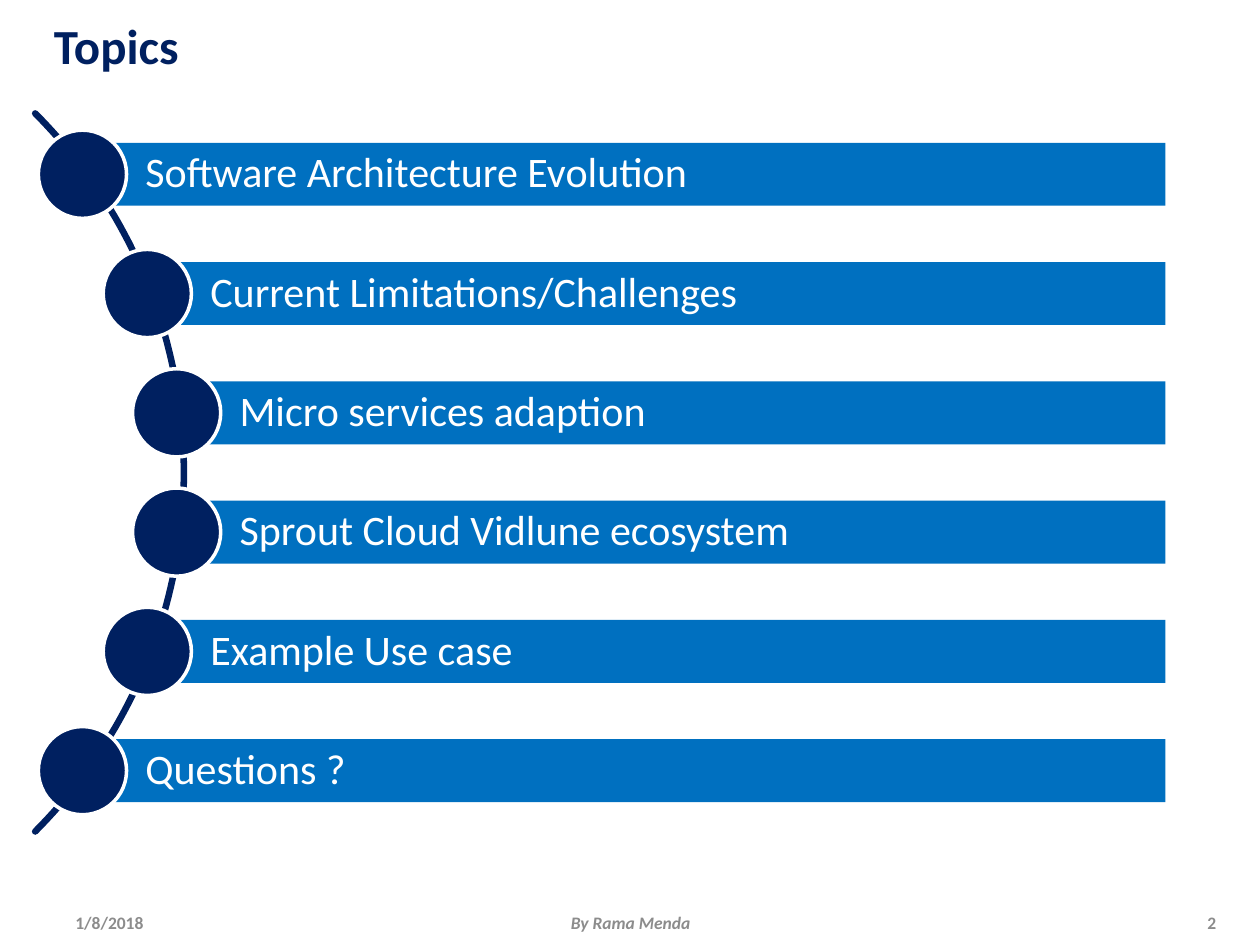
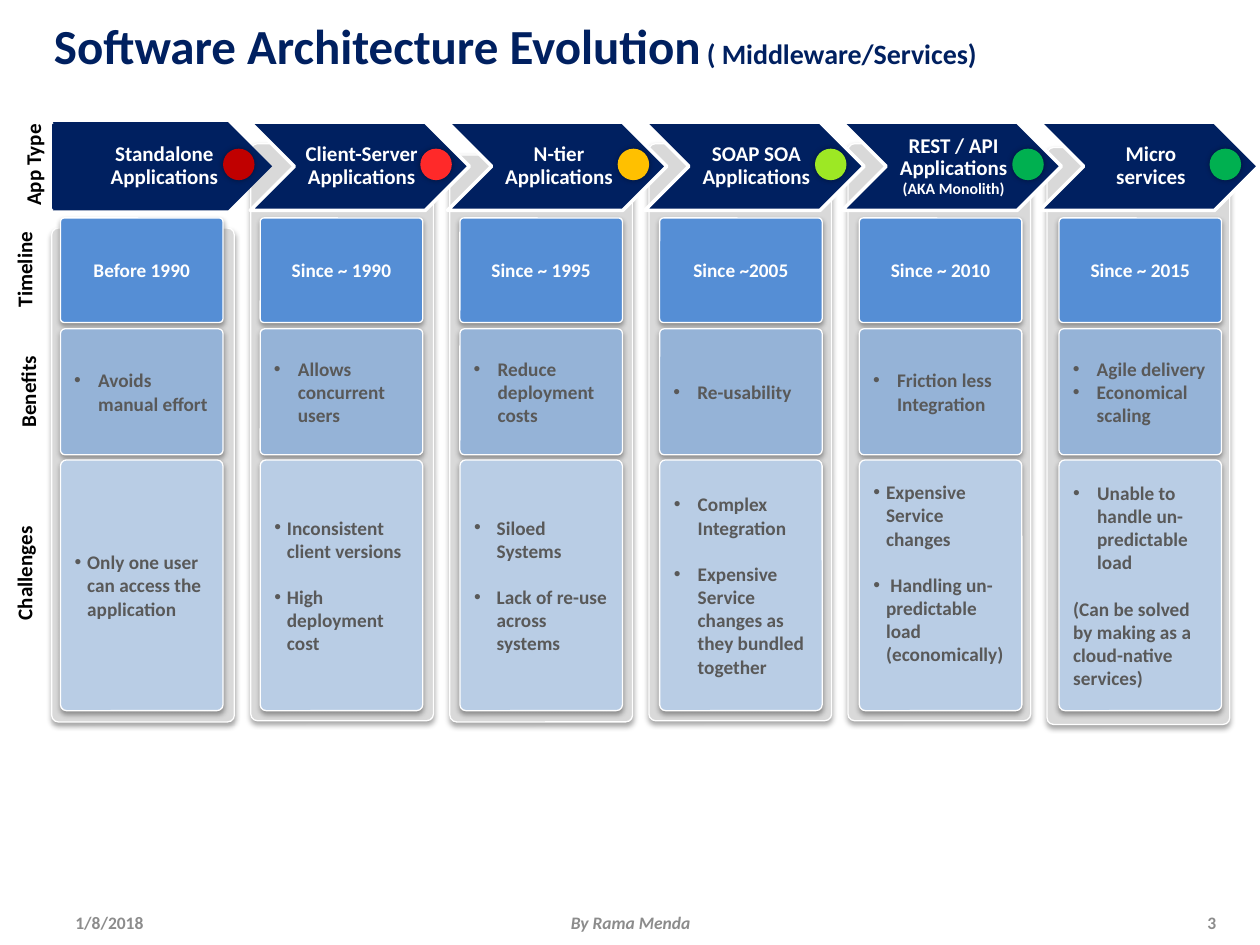
from math import cos, radians, sin, sqrt

from lxml.etree import SubElement
from pptx import Presentation
from pptx.dml.color import RGBColor
from pptx.enum.shapes import MSO_SHAPE
from pptx.enum.text import MSO_ANCHOR, PP_ALIGN
from pptx.oxml.ns import qn
from pptx.util import Inches, Pt

INK = {
    "navy": "002060", "blue": "0070C0", "white": "FFFFFF", "black": "000000",
    "foot": "8C8C8C", "text": "595959", "back": "D9D9D9",
    "time": "558ED5", "gain": "95B3D7", "pain": "B9CDE5",
    "dark": "C00000", "red": "FF2929", "amber": "FFC000",
    "lime": "9DE824", "green": "00B050",
}
FONTS = {
    "title": {"size": Pt(28), "bold": True, "ink": "navy"},
    "sub": {"size": Pt(16), "bold": True, "ink": "navy"},
    "foot": {"size": Pt(10), "bold": True, "ink": "foot"},
    "by": {"size": Pt(10), "bold": True, "italic": True, "ink": "foot"},
    "topic": {"size": Pt(24), "ink": "white"},
    "head": {"size": Pt(12), "bold": True, "ink": "white"},
    "small": {"size": Pt(9), "bold": True, "ink": "white"},
    "time": {"size": Pt(11), "bold": True, "ink": "white"},
    "cell": {"size": Pt(11), "bold": True, "ink": "text"},
    "label": {"size": Pt(12), "bold": True, "ink": "black"},
}
LEFT, MID, RIGHT = PP_ALIGN.LEFT, PP_ALIGN.CENTER, PP_ALIGN.RIGHT

TOPICS = [
    "Software Architecture Evolution", "Current Limitations/Challenges",
    "Micro services adaption", "Sprout Cloud Vidlune ecosystem",
    "Example Use case", "Questions ?",
]
# Each era: heading, light, top and foot of its panel, time,
# benefits, challenges, indent of the challenges
ERAS = [
    (["Standalone", "Applications"], "dark", 1.81, 5.73, "Before 1990",
     ["Avoids manual effort"],
     ["Only one user can access the application"], 0.1),
    (["Client-Server", "Applications"], "red", 1.14, 5.72, "Since ~ 1990",
     ["Allows concurrent users"],
     ["Inconsistent client versions", "High deployment cost"], 0.1),
    (["N-tier", "Applications"], "amber", 1.23, 5.73, "Since ~ 1995",
     ["Reduce deployment costs"],
     ["Siloed Systems", "Lack of re-use across systems"], 0.18),
    (["SOAP SOA", "Applications"], "lime", 1.14, 5.72, "Since ~2005",
     ["Re-usability"],
     ["Complex Integration",
      "Expensive Service changes as they bundled together"], 0.19),
    (["REST / API", "Applications", "(AKA Monolith)"], "green", 1.14, 5.72,
     "Since ~ 2010", ["Friction less Integration"],
     ["Expensive Service changes",
      " Handling un-predictable load (economically)"], 0.1),
    (["Micro services"], "green", 1.17, 5.75, "Since ~ 2015",
     ["Agile delivery", "Economical scaling"],
     ["Unable to handle un-predictable load",
      "(Can be solved by making as a cloud-native services)"], 0.19),
]
LABELS = [("App Type", 0.26, 1.31), ("Timeline", 0.19, 2.14),
          ("Benefits", 0.22, 3.11), ("Challenges", 0.19, 4.55)]


def color(name):
    return RGBColor.from_string(INK[name])


def add_run(para, text, kind):
    run = para.add_run()
    run.text = text
    run.font.name = "Calibri"
    for key, value in FONTS[kind].items():
        if key == "ink":
            run.font.color.rgb = color(value)
        else:
            setattr(run.font, key, value)


def set_frame(frame, pads=(0.1, 0.05, 0.1, 0.05)):
    frame.word_wrap = True
    frame.vertical_anchor = MSO_ANCHOR.MIDDLE
    for side, pad in zip(("left", "top", "right", "bottom"), pads):
        setattr(frame, f"margin_{side}", Inches(pad))


def write(frame, lines, kind, align=LEFT, **fmt):
    """Fill a frame with one paragraph per line and return the paragraphs."""
    paras = []
    for i, line in enumerate(lines):
        para = frame.add_paragraph() if i else frame.paragraphs[0]
        para.alignment = align
        for key, value in fmt.items():
            setattr(para, key, value)
        add_run(para, line, kind)
        paras.append(para)
    return paras


def add_text(slide, box, text, kind, align=LEFT):
    shape = slide.shapes.add_textbox(*map(Inches, box))
    set_frame(shape.text_frame)
    write(shape.text_frame, [text], kind, align)
    return shape


def add_shape(slide, kind, box, fill, line=None, width=0.75):
    shape = slide.shapes.add_shape(kind, *map(Inches, box))
    shape.shadow.inherit = False
    shape.fill.solid()
    shape.fill.fore_color.rgb = color(fill)
    if line:
        shape.line.color.rgb = color(line)
        shape.line.width = Pt(width)
    else:
        shape.line.fill.background()
    return shape


def add_shade(shape, dist=1.8, angle=90):
    effects = shape.element.spPr.find(qn("a:effectLst"))
    shade = SubElement(effects, qn("a:outerShdw"), blurRad=str(Pt(3.1)),
                       dist=str(Pt(dist)), dir=str(angle * 60000),
                       rotWithShape="0")
    tint = SubElement(shade, qn("a:srgbClr"), val=INK["black"])
    SubElement(tint, qn("a:alpha"), val="35000")


def add_card(slide, box, fill):
    card = add_shape(slide, MSO_SHAPE.ROUNDED_RECTANGLE, box, fill, "white")
    card.adjustments[0] = 0.037
    add_shade(card)
    set_frame(card.text_frame)
    return card


def add_bullet(para, indent):
    props = para._p.get_or_add_pPr()
    props.set("marL", str(Inches(indent)))
    props.set("indent", str(-Inches(indent)))
    SubElement(props, qn("a:buFont"), typeface="Arial")
    SubElement(props, qn("a:buChar"), char="•")


def add_list(card, lines, indent, gap=0):
    paras = write(card.text_frame, lines, "cell")
    for i, para in enumerate(paras):
        if i:
            para.space_before = Pt(gap)
        if not lines[i].startswith("("):
            add_bullet(para, indent)


def add_slide(deck, title, number, sub=None):
    """Start a slide with its title and footer."""
    slide = deck.slides.add_slide(deck.slide_layouts[6])
    head = add_text(slide, (0.33, 0.05, 9.42, 0.62), title, "title")
    if sub:
        add_run(head.text_frame.paragraphs[0], sub, "sub")
    for x, w, text, kind, align in (
            (0.5, 2.33, "1/8/2018", "foot", LEFT),
            (3.42, 3.17, "By Rama Menda", "by", MID),
            (9.25, 0.5, str(number), "foot", RIGHT)):
        add_text(slide, (x, 7.25, w, 0.15), text, kind, align)
    return slide


def add_arc(slide, x, y, radius):
    points = [(Inches(x + radius * cos(radians(a))),
               Inches(y + radius * sin(radians(a)))) for a in range(-45, 46)]
    build = slide.shapes.build_freeform(*points[0])
    build.add_line_segments(points[1:], close=False)
    arc = build.convert_to_shape()
    arc.shadow.inherit = False
    arc.fill.background()
    arc.line.color.rgb = color("navy")
    arc.line.width = Pt(3.75)
    arc.element.spPr.find(qn("a:ln")).set("cap", "rnd")


def add_topics(slide, box):
    """Hang the topic bars along an arc that bulges into the box."""
    left, top, width, height = box
    hub, mid, reach = left - 2.87, top + height / 2, 4
    add_arc(slide, hub, mid, reach + 0.03)
    step = (height - 0.98) / len(TOPICS)
    for i, topic in enumerate(TOPICS):
        y = mid + (i - (len(TOPICS) - 1) / 2) * step
        x = hub + sqrt(reach ** 2 - (y - mid) ** 2)
        bar = add_shape(slide, MSO_SHAPE.RECTANGLE,
                        (x, y - 0.25, left + width - x, 0.5), "blue")
        set_frame(bar.text_frame, (0.5, 0.07, 0.07, 0.07))
        write(bar.text_frame, [topic], "topic", line_spacing=0.9)
        add_shape(slide, MSO_SHAPE.OVAL, (x - 0.35, y - 0.35, 0.7, 0.7),
                  "navy", "white", 2)


def add_heads(slide, left, top):
    """Draw the row of chevrons with their status lights."""
    step = 1.566
    for i, (lines, *_) in enumerate(ERAS):
        x = left + i * step
        head = add_shape(slide, MSO_SHAPE.CHEVRON, (x, top, 1.74, 0.7),
                         "navy", "white" if i else None, 2)
        set_frame(head.text_frame, (0.05, 0.02, 0.02, 0.02))
        paras = write(head.text_frame, lines[:2], "head", MID,
                      line_spacing=0.9)
        for note in lines[2:]:
            para = head.text_frame.add_paragraph()
            para.alignment, para.line_spacing = MID, paras[0].line_spacing
            add_run(para, note, "small")
    add_shape(slide, MSO_SHAPE.RECTANGLE,
              (left + 0.01, top + 0.02, 0.33, 0.66), "navy", "navy", 2)
    for i, (_, light, *_) in enumerate(ERAS):
        dot = add_shape(slide, MSO_SHAPE.OVAL,
                        (left + 1.35 + i * step, top + 0.21, 0.25, 0.25),
                        light)
        add_shade(dot, 0, 72)


def add_panels(slide, left):
    for i, (_, _, top, foot, *_) in enumerate(ERAS):
        add_card(slide, (left + i * 1.58, top, 1.45, foot - top), "back")


def add_cells(slide, left, top):
    for i, (*_, time, gains, pains, indent) in enumerate(ERAS):
        x = left + i * 1.585
        card = add_card(slide, (x, top, 1.29, 0.83), "time")
        write(card.text_frame, [time], "time", MID)
        card = add_card(slide, (x, top + 0.88, 1.29, 1), "gain")
        add_list(card, gains, 0.19)
        card = add_card(slide, (x, top + 1.92, 1.29, 1.99), "pain")
        add_list(card, pains, indent, 13.4)
        if "REST / API" in ERAS[i][0]:
            card.text_frame.margin_bottom = Inches(0.24)


def add_labels(slide):
    for text, x, y in LABELS:
        label = add_text(slide, (x - 0.6, y - 0.15, 1.2, 0.3), text,
                         "label", MID)
        label.rotation = 270


def main():
    deck = Presentation()
    deck.slide_width, deck.slide_height = Inches(10), Inches(7.5)
    slide = add_slide(deck, "Topics", 2)
    add_topics(slide, (0.3, 0.42, 8.95, 6.66))
    slide = add_slide(deck, "Software Architecture Evolution", 3,
                      " ( Middleware/Services)")
    add_panels(slide, 0.41)
    add_heads(slide, 0.42, 0.97)
    add_cells(slide, 0.48, 1.73)
    add_labels(slide)
    deck.save("out.pptx")


if __name__ == "__main__":
    main()
